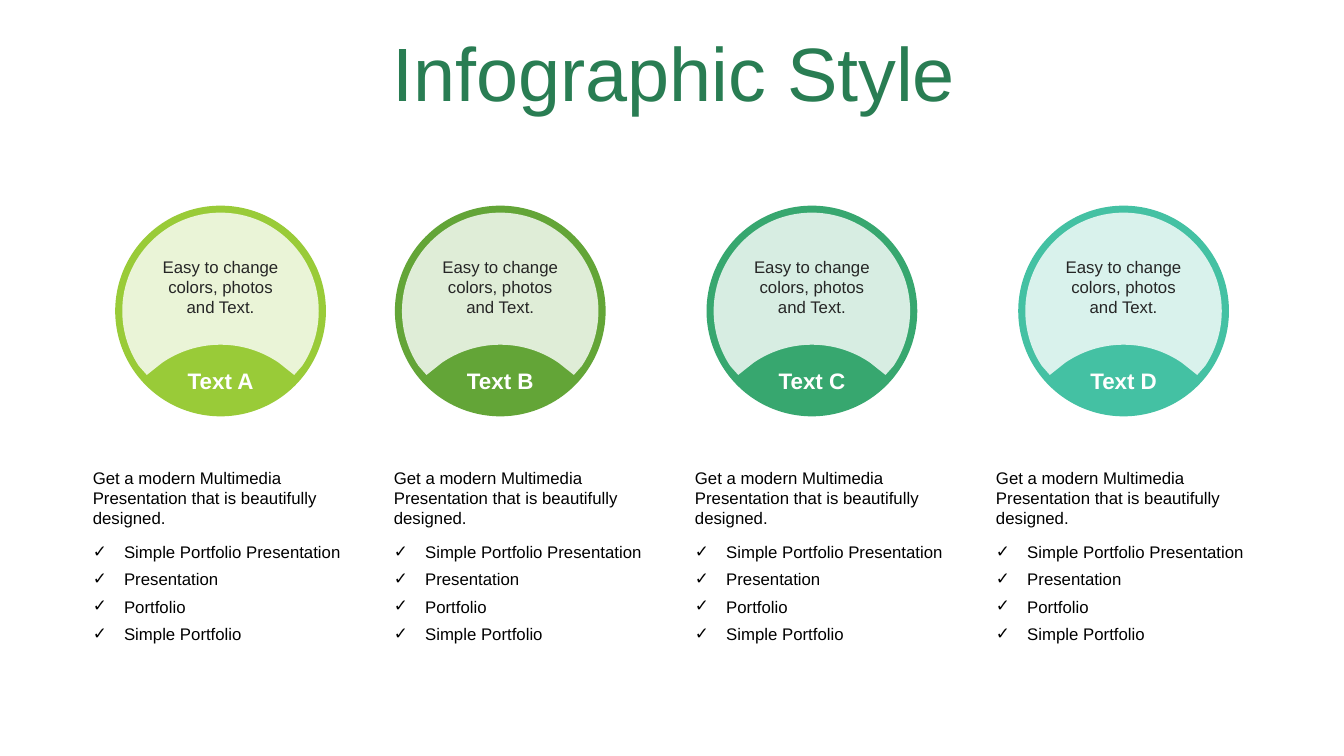
from dataclasses import dataclass

from lxml.etree import SubElement
from pptx import Presentation
from pptx.dml.color import RGBColor
from pptx.enum.shapes import MSO_SHAPE
from pptx.enum.text import MSO_ANCHOR, MSO_AUTO_SIZE, PP_ALIGN
from pptx.oxml.ns import qn
from pptx.util import Inches, Pt

FONT = "Arial"
COLORS = {
    "title": "297D53", "lime": "99CB38", "green": "63A537",
    "emerald": "37A76F", "teal": "44C1A3",
    "white": "FFFFFF", "dark": "262626", "black": "000000",
}

prs = Presentation()
prs.slide_width, prs.slide_height = Inches(13.33), Inches(7.5)
s = prs.slides.add_slide(prs.slide_layouts[6])


# Grid: 100 columns by 100 rows over the slide
def col(n: float) -> int:
    return round(prs.slide_width * n / 100)


def row(n: float) -> int:
    return round(prs.slide_height * n / 100)


@dataclass
class Box:
    left: float
    top: float
    width: float
    height: float

    def place(self) -> tuple[int, int, int, int]:
        return col(self.left), row(self.top), col(self.width), row(self.height)


@dataclass
class Style:
    size: int
    color: str
    bold: bool = False
    align: PP_ALIGN = PP_ALIGN.LEFT
    anchor: MSO_ANCHOR = MSO_ANCHOR.TOP
    spacing: float = 1.0
    bullet: str = ""
    fit: MSO_AUTO_SIZE = MSO_AUTO_SIZE.SHAPE_TO_FIT_TEXT


@dataclass
class Badge:
    label: str
    color: str
    left: float


TITLE = Style(54, "title", align=PP_ALIGN.CENTER, anchor=MSO_ANCHOR.MIDDLE,
              spacing=0.9, fit=MSO_AUTO_SIZE.NONE)
LABEL = Style(16, "white", bold=True, align=PP_ALIGN.CENTER)
CAPTION = Style(12, "dark", align=PP_ALIGN.CENTER)
INTRO = Style(12, "black")
CHECK = Style(12, "black", anchor=MSO_ANCHOR.MIDDLE, spacing=0.8, bullet="✓")

# Badges B to D are evenly spaced; A stands a little closer to B
BADGE_LEFT, BADGE_PITCH, BADGE_TOP = 29.38, 23.19, 27.2
BADGE_WIDTH, BADGE_HEIGHT = 15.68, 27.87
BADGES = [
    Badge(f"Text {letter}", color, BADGE_LEFT + i * BADGE_PITCH)
    for i, (letter, color) in enumerate(zip("BCD", ("green", "emerald", "teal")))
] + [Badge("Text A", "lime", 8.57)]

# Right half of the window from its top, in columns and rows: each step is
# an end point, or two curve handles and an end point
WINDOW_TOP = 28.13
WINDOW_HALF = [
    [(4.05, 0), (7.31, 5.87), (7.31, 13)],
    [(7.31, 15.73), (6.83, 18.27), (6.08, 20.27)],
    [(5.48, 21.47)],
    [(4.35, 19.87)],
    [(3.15, 18.4), (1.65, 17.47), (0, 17.47)],
]

LIST_LEFT, LIST_PITCH, LIST_WIDTH = 6.17, 22.4, 20.48
CHECK_TOP, CHECK_PITCH, CHECK_HEIGHT = 71.47, 3.62, 3.47
ITEMS = ["Simple Portfolio Presentation", "Presentation", "Portfolio", "Simple Portfolio"]


def add_text(shapes, box: Box, text: str, style: Style) -> None:
    tf = shapes.add_textbox(*box.place()).text_frame
    tf.word_wrap = True
    tf.auto_size = style.fit
    tf.vertical_anchor = style.anchor
    p = tf.paragraphs[0]
    p.alignment = style.align
    p.line_spacing = style.spacing
    if style.bullet:
        pPr = p._p.get_or_add_pPr()
        pPr.set("marL", str(Inches(0.31)))
        pPr.set("indent", str(-Inches(0.31)))
        SubElement(pPr, qn("a:buFont")).set("typeface", FONT)
        SubElement(pPr, qn("a:buChar")).set("char", style.bullet)
    r = p.add_run()
    r.text = text
    r.font.name, r.font.size, r.font.bold = FONT, Pt(style.size), style.bold
    r.font.color.rgb = RGBColor.from_string(COLORS[style.color])


def paint(sp, color: str) -> None:
    sp.shadow.inherit = False
    sp.fill.solid()
    sp.fill.fore_color.rgb = RGBColor.from_string(COLORS[color])
    sp.line.fill.background()


def window_steps() -> list[list[tuple[float, float]]]:
    """Right half, then its mirror image walked backwards to the top."""
    starts = [(0, 0)] + [step[-1] for step in WINDOW_HALF[:-1]]
    mirror = [
        [(-x, y) for x, y in step[-2::-1] + [start]]
        if len(step) > 1 else [(-start[0], start[1])]
        for start, step in zip(starts, WINDOW_HALF)
    ]
    return WINDOW_HALF + mirror[::-1]


def add_window(shapes, center: float) -> None:
    steps = window_steps()
    builder = shapes.build_freeform(col(center), row(WINDOW_TOP))
    builder.add_line_segments(
        [(col(center + x), row(WINDOW_TOP + y)) for x, y in (step[-1] for step in steps)],
        close=True)
    sp = builder.convert_to_shape()
    paint(sp, "white")
    tint = sp._element.spPr.find(qn("a:solidFill"))[0]
    SubElement(tint, qn("a:alpha")).set("val", "80000")

    # Bend the straight steps that have handles
    segments = list(sp._element.iter(qn("a:lnTo")))
    for segment, step in zip(segments, steps):
        if len(step) == 1:
            continue
        segment.tag = qn("a:cubicBezTo")
        end = segment[0]
        for x, y in step[:-1]:
            handle = SubElement(segment, qn("a:pt"))
            handle.set("x", str(col(center + x) - sp.left))
            handle.set("y", str(row(WINDOW_TOP + y) - sp.top))
        segment.append(end)


def add_badge(badge: Badge) -> None:
    shapes = s.shapes.add_group_shape().shapes
    disc = Box(badge.left, BADGE_TOP, BADGE_WIDTH, BADGE_HEIGHT)
    paint(shapes.add_shape(MSO_SHAPE.OVAL, *disc.place()), badge.color)
    add_window(shapes, badge.left + BADGE_WIDTH / 2)
    add_text(s.shapes, Box(badge.left + 3.68, 47.87, 8.33, 4.93), badge.label, LABEL)
    add_text(s.shapes, Box(badge.left + 2.7, 33.33, 10.28, 9.47),
             "Easy to change colors, photos and Text.", CAPTION)


def add_list(left: float) -> None:
    shapes = s.shapes.add_group_shape().shapes
    for i, item in enumerate(ITEMS):
        add_text(shapes, Box(left, CHECK_TOP + i * CHECK_PITCH, LIST_WIDTH, CHECK_HEIGHT),
                 item, CHECK)
    add_text(shapes, Box(left, 61.24, LIST_WIDTH, 9.47),
             "Get a modern Multimedia Presentation that is beautifully designed.", INTRO)


# Title
add_text(s.shapes, Box(2.65, 4.93, 94.97, 10.53), "Infographic Style", TITLE)

# Badges
for badge in BADGES:
    add_badge(badge)

# Check lists
for i in range(len(BADGES)):
    add_list(LIST_LEFT + i * LIST_PITCH)

prs.save("out.pptx")
